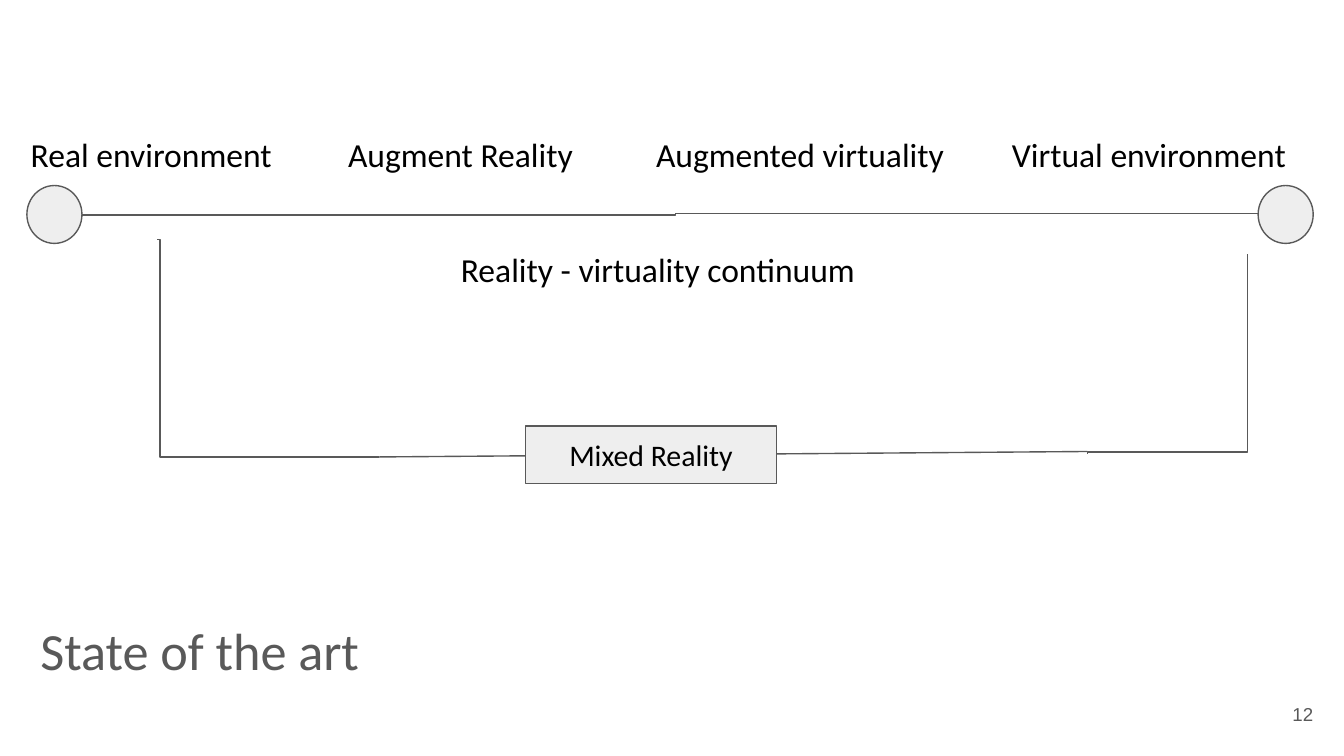
"""Build the reality-virtuality continuum slide."""
from dataclasses import dataclass

from lxml.etree import SubElement
from pptx import Presentation
from pptx.dml.color import RGBColor
from pptx.enum.shapes import MSO_CONNECTOR, MSO_SHAPE
from pptx.enum.text import MSO_ANCHOR, MSO_AUTO_SIZE, PP_ALIGN
from pptx.oxml.ns import qn
from pptx.util import Pt


@dataclass(frozen=True)
class Theme:
    ink: RGBColor = RGBColor(0x00, 0x00, 0x00)
    gray: RGBColor = RGBColor(0x59, 0x59, 0x59)
    fill: RGBColor = RGBColor(0xEE, 0xEE, 0xEE)
    font: str = "Calibri"
    number_font: str = "Arial"
    title: float = 28
    label: float = 18
    box: float = 16
    number: float = 10
    line: float = 0.75
    inset: float = 7.2


theme = Theme()


def write(sp, text, size, color, font=theme.font, align=PP_ALIGN.LEFT,
          anchor=MSO_ANCHOR.TOP, tabs=()):
    tf = sp.text_frame
    tf.word_wrap = True
    tf.auto_size = MSO_AUTO_SIZE.NONE
    tf.vertical_anchor = anchor
    tf.margin_left = tf.margin_right = Pt(theme.inset)
    tf.margin_top = tf.margin_bottom = Pt(theme.inset)
    p = tf.paragraphs[0]
    p.alignment = align
    if tabs:
        stops = SubElement(p._p.get_or_add_pPr(), qn("a:tabLst"))
        for pos in tabs:
            SubElement(stops, qn("a:tab"), pos=str(Pt(pos)), algn="l")
    r = p.add_run()
    r.text = text
    r.font.name = font
    r.font.size = Pt(size)
    r.font.bold = False
    r.font.color.rgb = color
    return p


def style(sp):
    sp.shadow.inherit = False
    sp.fill.solid()
    sp.fill.fore_color.rgb = theme.fill
    sp.line.color.rgb = theme.gray
    sp.line.width = Pt(theme.line)


prs = Presentation()
prs.slide_width, prs.slide_height = Pt(720), Pt(405)
s = prs.slides.add_slide(prs.slide_layouts[5])

title = s.shapes.title
title.left, title.top, title.width, title.height = Pt(14.4), Pt(319), Pt(549.4), Pt(59.8)
p = write(title, "State of the art", theme.title, theme.gray)
p.line_spacing = 1.15
p.space_after = Pt(16)

number = s.shapes.add_textbox(Pt(667.4), Pt(367.2), Pt(43.2), Pt(31))
write(number, "12", theme.number, theme.gray, theme.number_font,
      PP_ALIGN.RIGHT, MSO_ANCHOR.MIDDLE)

stages = ["Real environment", "Augment Reality", "Augmented virtuality", "Virtual environment"]
labels = s.shapes.add_textbox(Pt(9.4), Pt(64.8), Pt(701.3), Pt(137.5))
write(labels, "\t".join(stages), theme.label, theme.ink, tabs=(170, 335, 525.6))

caption = s.shapes.add_textbox(Pt(239.8), Pt(126), Pt(262.8), Pt(53.3))
write(caption, "Reality - virtuality continuum", theme.label, theme.ink)

elbow, straight = MSO_CONNECTOR.ELBOW, MSO_CONNECTOR.STRAIGHT
for kind, x1, y1, x2, y2, bend, turn in [
    (elbow, 28.1, 115.2, 695.5, 114.5, 50, 0),
    (elbow, 84.2, 128.2, 203, 244.8, 1.3, 0),
    (straight, 203, 244.8, 582.5, 241.9, None, 0),
    (elbow, 571.7, 146.9, 679, 232.6, 98.9, 90),
]:
    c = s.shapes.add_connector(kind, Pt(x1), Pt(y1), Pt(x2), Pt(y2))
    c.line.color.rgb = theme.gray
    c.line.width = Pt(theme.line)
    spPr = c.element.spPr
    SubElement(spPr, qn("a:effectLst"))
    if turn:
        spPr.find(qn("a:xfrm")).set("rot", str(turn * 60000))
    if bend is not None:
        guides = spPr.find(qn("a:prstGeom")).find(qn("a:avLst"))
        SubElement(guides, qn("a:gd"), name="adj1", fmla=f"val {round(bend * 1000)}")

for x in (14.4, 674):
    end = s.shapes.add_shape(MSO_SHAPE.OVAL, Pt(x), Pt(99.4), Pt(29.5), Pt(31))
    style(end)

mixed = s.shapes.add_shape(MSO_SHAPE.RECTANGLE, Pt(281.5), Pt(228.2), Pt(134.6), Pt(31))
style(mixed)
write(mixed, "Mixed Reality", theme.box, theme.ink,
      align=PP_ALIGN.CENTER, anchor=MSO_ANCHOR.MIDDLE)

prs.save("out.pptx")
